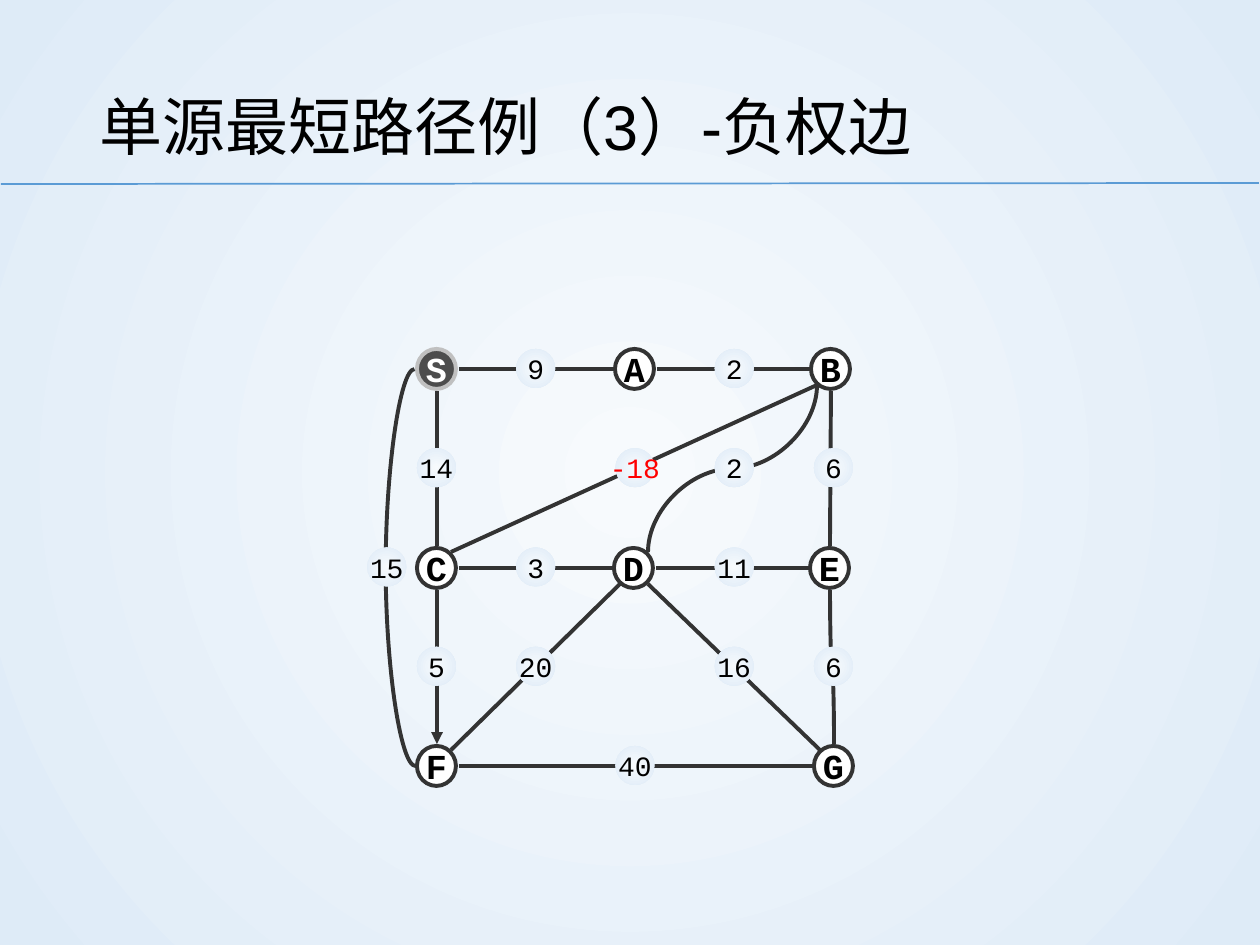
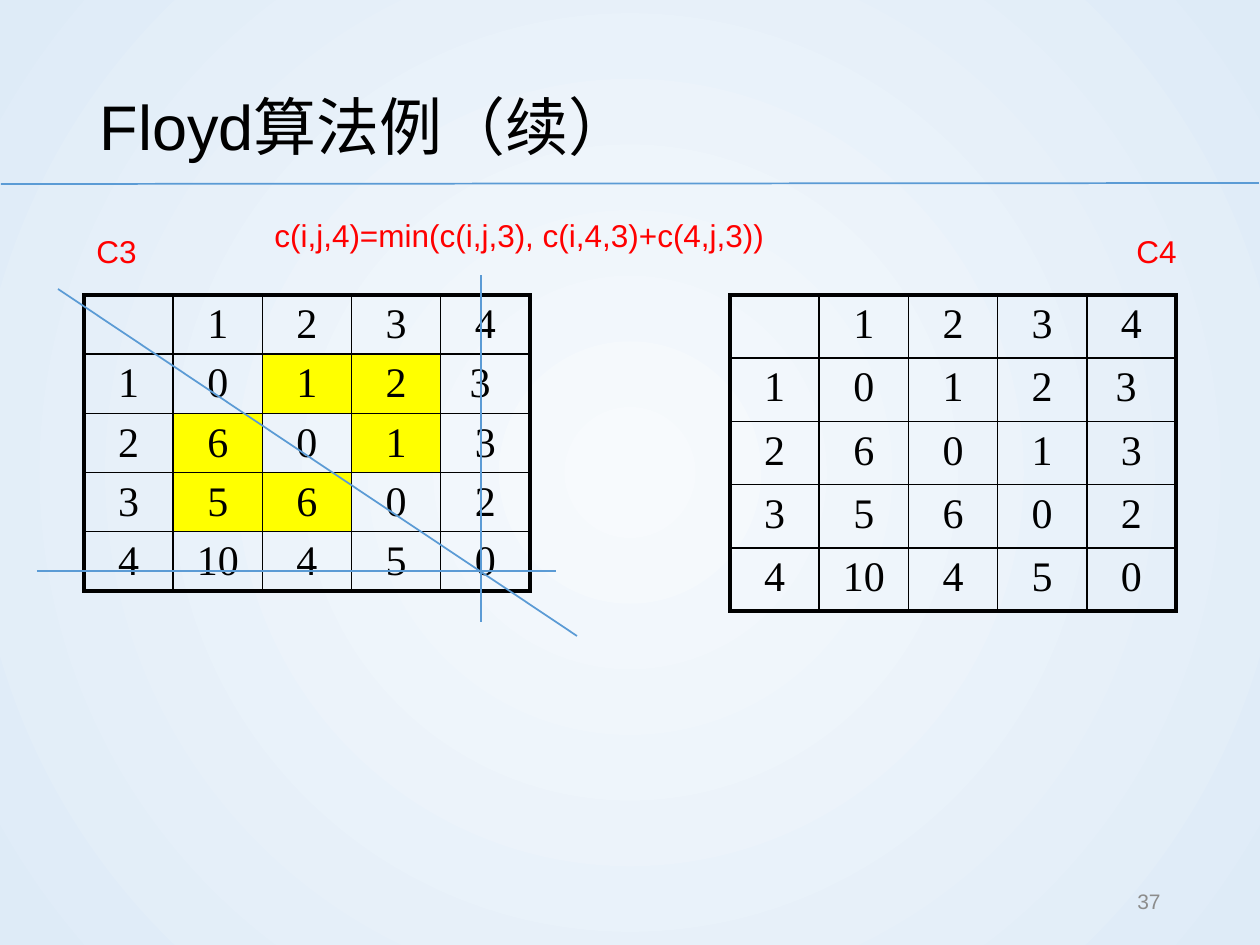
from collections import namedtuple
from dataclasses import dataclass

from lxml import etree
from pptx import Presentation
from pptx.dml.color import RGBColor
from pptx.enum.shapes import MSO_CONNECTOR, MSO_SHAPE
from pptx.enum.text import MSO_ANCHOR, PP_ALIGN
from pptx.oxml.ns import qn
from pptx.util import Emu, Pt

STRAIGHT, CURVE = MSO_CONNECTOR.STRAIGHT, MSO_CONNECTOR.CURVE
OVAL = MSO_SHAPE.OVAL
TOP, MIDDLE = MSO_ANCHOR.TOP, MSO_ANCHOR.MIDDLE
LEFT, CENTER, RIGHT = PP_ALIGN.LEFT, PP_ALIGN.CENTER, PP_ALIGN.RIGHT
SCALE = 914400 / 126
Box = namedtuple("Box", "x y w h")
Edge = namedtuple("Edge", "start out end into text cell", defaults=("", "", None))


@dataclass(frozen=True)
class Theme:
    """Colours, fonts and sizes shared by all slides."""
    ink: str = "000000"
    paper: str = "FFFFFF"
    edge: str = "333333"
    root: str = "4D4D4D"
    ring: str = "C0C0C0"
    rule: str = "5B9BD5"
    note: str = "FF0000"
    mark: str = "FFFF00"
    faint: str = "8C8C8C"
    wash: tuple = ("F7FAFD", "DEEBF7")
    sans: str = "Arial"
    mono: str = "Courier New"
    serif: str = "Times New Roman"
    title: int = 36
    cell: int = 24
    node: int = 20
    body: int = 18
    weight: int = 16
    page: int = 12
    thin: float = 1
    thick: float = 2.25


T = Theme()
NODES = {"S": (0, 0), "A": (198, 0), "B": (394, 0),
         "C": (0, 199), "D": (197, 199), "E": (393, 199),
         "F": (0, 397), "G": (397, 397)}
PORTS = {"n": (0, -22), "s": (0, 22), "w": (-22, 0), "e": (22, 0),
         "nw": (-14, -16), "ne": (14, -16), "sw": (-14, 16), "se": (14, 16)}
EDGES = [
    Edge("S", "w", "F", "w", "15", (-0.5, 2)),
    Edge("S", "s", "C", "n", "14", (0, 1)),
    Edge("C", "s", "F", "n", "5", (0, 3)),
    Edge("E", "s", "G", "n", "6", (4, 3)),
    Edge("D", "se", "G", "nw", "16", (3, 3)),
    Edge("B", "sw", "D", "ne", "2", (3, 1)),
    Edge("C", "ne", "B", "sw", "-18", (2, 1)),
    Edge("C", "e", "D", "w", "3", (1, 2)),
    Edge("F", "ne", "D", "sw", "20", (1, 3)),
    Edge("E", "n", "B", "s", "6", (4, 1)),
    Edge("F", "e", "G", "w", "40", (2, 4)),
    Edge("A", "e", "B", "w", "2", (3, 0)),
    Edge("S", "e", "A", "w", "9", (1, 0)),
    Edge("D", "e", "E", "w", "11", (3, 2)),
]
BENDS = {"SF": (180, "HV", -29), "EG": (270, "H", None), "BD": (90, "", None)}
COSTS = [["", "1", "2", "3", "4"],
         ["1", "0", "1", "2", "3 "],
         ["2", "6", "0", "1", "3"],
         ["3", "5", "6", "0", "2"],
         ["4", "10", "4", "5", "0"]]
MARKS = {(1, 2), (1, 3), (2, 1), (2, 3), (3, 1), (3, 2)}


def px(n):
    """Turn px into EMU."""
    return Emu(round(n * SCALE))


def rgb(code):
    """Read a hex colour."""
    return RGBColor.from_string(code)


def shade(fill, owner):
    """Fill with the round wash gradient."""
    fill.gradient()
    for stop, code in zip(fill.gradient_stops, T.wash):
        stop.color.rgb = rgb(code)
    grad = owner.find(".//" + qn("a:gradFill"))
    grad.remove(grad.find(qn("a:lin")))
    path = etree.SubElement(grad, qn("a:path"), path="circle")
    mid = dict.fromkeys("ltrb", "50000")
    etree.SubElement(path, qn("a:fillToRect"), mid)


def write(frame, text, size, color, face, align=LEFT, bold=False):
    """Write one styled run into the first paragraph."""
    para = frame.paragraphs[0]
    para.alignment = align
    run = para.add_run()
    run.text = text
    font = run.font
    font.size, font.name, font.bold = Pt(size), face, bold
    font.color.rgb = rgb(color)
    return para


def label(slide, box, text, size=T.body, color=T.note, align=LEFT, anchor=TOP):
    """Place a plain text box."""
    frame = slide.shapes.add_textbox(*map(px, box)).text_frame
    frame.word_wrap = True
    frame.vertical_anchor = anchor
    write(frame, text, size, color, T.sans, align)


def line(slide, start, end, color=T.rule, width=T.thin, kind=STRAIGHT):
    """Draw a flat connector."""
    link = slide.shapes.add_connector(kind, *map(px, (*start, *end)))
    link.line.color.rgb = rgb(color)
    link.line.width = Pt(width)
    etree.SubElement(link._element.spPr, qn("a:effectLst"))
    return link


def bend(slide, start, end, turn, flips, pull):
    """Draw a curved connector turned about its middle."""
    w, h = max(abs(end[0] - start[0]), 1), abs(end[1] - start[1])
    mid_x, mid_y = (start[0] + end[0]) / 2, (start[1] + end[1]) / 2
    if turn % 180:
        w, h = h, w
    x, y = mid_x - w / 2, mid_y - h / 2
    link = line(slide, (x, y), (x + w, y + h), T.edge, T.thick, CURVE)
    props = link._element.spPr
    frame = props.find(qn("a:xfrm"))
    frame.set("rot", str(turn * 60000))
    for axis in flips:
        frame.set("flip" + axis, "1")
    if pull is not None:
        guides = props.find(".//" + qn("a:avLst"))
        etree.SubElement(guides, qn("a:gd"), name="adj1",
                         fmla=f"val {pull * 100000 // w}")


def disc(slide, box, text, size, color, bold=False):
    """Place a round shape with centred text."""
    shape = slide.shapes.add_shape(OVAL, *map(px, box))
    shape.shadow.inherit = False
    frame = shape.text_frame
    frame.margin_left = frame.margin_right = 0
    frame.margin_top = frame.margin_bottom = 0
    frame.word_wrap = False
    frame.vertical_anchor = MIDDLE
    write(frame, text, size, color, T.mono, CENTER, bold)
    return shape


def node(slide, box, name):
    """Draw one vertex, dark if it is the source."""
    root = name == "S"
    shape = disc(slide, box, name, T.node, T.paper if root else T.ink, True)
    shape.fill.solid()
    shape.fill.fore_color.rgb = rgb(T.root if root else T.paper)
    shape.line.color.rgb = rgb(T.ring if root else T.edge)
    shape.line.width = Pt(T.thick)


def weight(slide, box, text):
    """Draw one edge weight over its line."""
    color = T.note if text.startswith("-") else T.ink
    shape = disc(slide, box, text, T.weight, color)
    shade(shape.fill, shape._element)
    shape.line.fill.background()


def graph(slide, box):
    """Draw the weighted graph inside its box."""
    def port(name, side):
        x, y = NODES[name]
        dx, dy = PORTS[side]
        return box.x + x + 20 + dx, box.y + y + 20 + dy

    for name, (x, y) in NODES.items():
        node(slide, Box(box.x + x, box.y + y, 39, 40), name)
    step_x, step_y = (box.w - 39) / 4, (box.h - 40) / 4
    for edge in EDGES:
        start, end = port(edge.start, edge.out), port(edge.end, edge.into)
        pair = edge.start + edge.end
        if pair in BENDS:
            bend(slide, start, end, *BENDS[pair])
        else:
            link = line(slide, start, end, T.edge, T.thick)
            if pair == "CF":
                stroke = link._element.spPr.find(qn("a:ln"))
                etree.SubElement(stroke, qn("a:tailEnd"), type="triangle")
        col, row = edge.cell
        spot = Box(box.x + col * step_x, box.y + row * step_y, 39, 39)
        weight(slide, spot, edge.text)


def border(cell, sides):
    """Draw the four cell borders, heavy on the given sides."""
    props = cell._tc.get_or_add_tcPr()
    for side in "LRTB":
        width = Pt(T.thick if side in sides else T.thin)
        stroke = etree.SubElement(props, qn("a:ln" + side), w=str(width))
        fill = etree.SubElement(stroke, qn("a:solidFill"))
        etree.SubElement(fill, qn("a:srgbClr"), val=T.ink)


def matrix(slide, box, marks=()):
    """Draw the cost matrix with marked cells."""
    size = len(COSTS)
    table = slide.shapes.add_table(size, size, *map(px, box)).table
    table.first_row = table.horz_banding = False
    last = size - 1
    for i, row in enumerate(COSTS):
        table.rows[i].height = px(box.h / size)
        table.columns[i].width = px(box.w / size)
        for j, text in enumerate(row):
            cell = table.cell(i, j)
            ends = {"L": j == 0, "R": j == last, "T": i == 0, "B": i == last}
            border(cell, [side for side, on in ends.items() if on])
            cell.margin_bottom = 0
            if (i, j) in marks:
                cell.fill.solid()
                cell.fill.fore_color.rgb = rgb(T.mark)
            else:
                cell.fill.background()
            if text:
                write(cell.text_frame, text, T.cell, T.ink, T.serif, CENTER)


def strike(slide, box):
    """Cross out the diagonal, last row and last column."""
    line(slide, (box.x - 26, box.y - 6), (box.x + 493, box.y + 341))
    line(slide, (box.x - 47, box.y + 276), (box.x + 472, box.y + 276))
    line(slide, (box.x + 397, box.y + 327), (box.x + 397, box.y - 20))


def page(deck, text):
    """Add a slide with its title and rule."""
    slide = deck.slides.add_slide(deck.slide_layouts[5])
    title = slide.shapes.title
    title.left, title.top, title.width, title.height = map(px, (87, 50, 1086, 186))
    frame = title.text_frame
    frame.word_wrap = True
    frame.vertical_anchor = MIDDLE
    title.height = px(136)
    write(frame, text, T.title, T.ink, T.sans).line_spacing = 1.2
    line(slide, (1, 184), (1259, 183))
    return slide


def paths(deck):
    """Build the slide with the negative edge."""
    slide = page(deck, "单源最短路径例（3）-负权边")
    graph(slide, Box(417, 349, 436, 437))


def floyd(deck):
    """Build the slide with both matrices."""
    slide = page(deck, "Floyd算法例（续）")
    old, new = Box(84, 295, 446, 296), Box(730, 295, 446, 316)
    matrix(slide, old, MARKS)
    label(slide, Box(old.x, old.y - 69, 94, 50), "C3")
    label(slide, Box(262, 210, 955, 50), "c(i,j,4)=min(c(i,j,3), c(i,4,3)+c(4,j,3))")
    matrix(slide, new)
    label(slide, Box(new.x + 394, new.y - 69, 94, 50), "C4")
    strike(slide, old)
    label(slide, Box(890, 876, 283, 50), "37", T.page, T.faint, RIGHT, MIDDLE)


def main():
    """Build and save the deck."""
    deck = Presentation()
    deck.slide_width, deck.slide_height = px(1260), px(945)
    master = deck.slide_master
    shade(master.background.fill, master.element)
    paths(deck)
    floyd(deck)
    deck.save("out.pptx")


if __name__ == "__main__":
    main()
